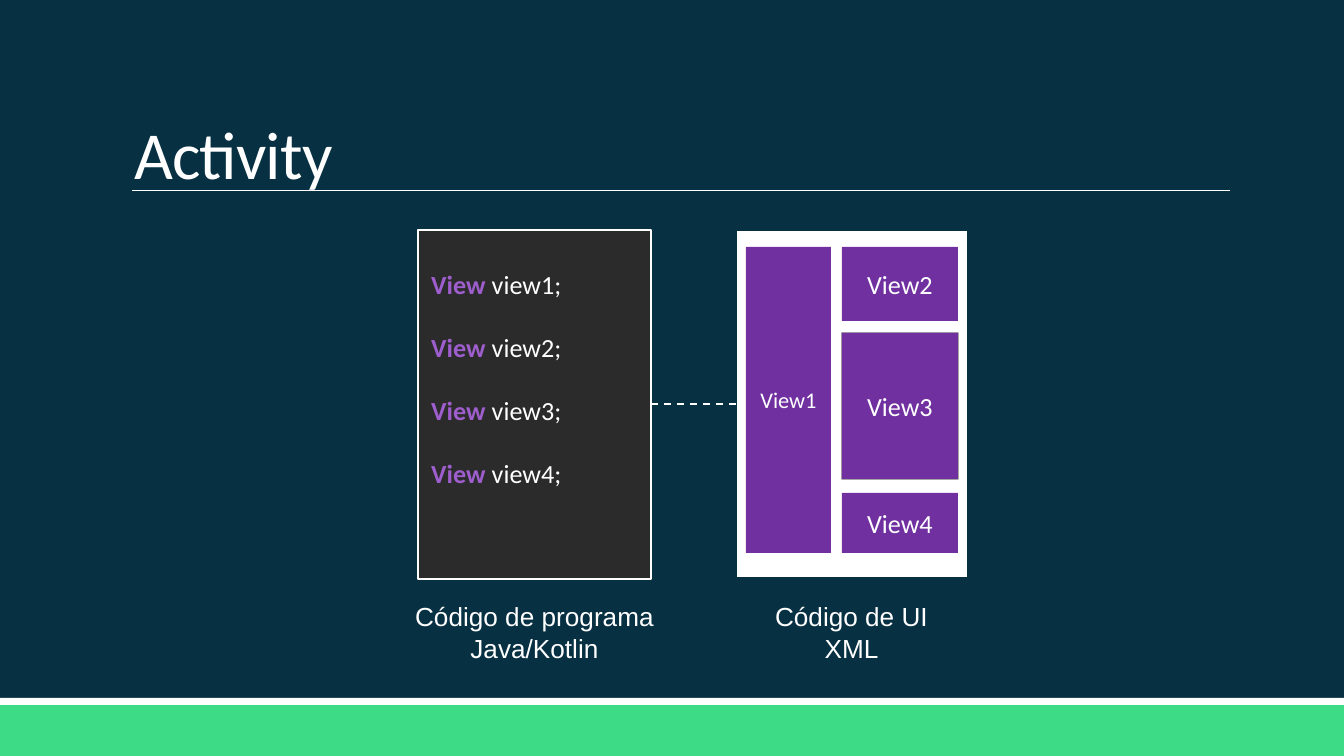
from lxml.etree import SubElement
from pptx import Presentation
from pptx.dml.color import RGBColor
from pptx.enum.dml import MSO_LINE
from pptx.enum.shapes import MSO_CONNECTOR, MSO_SHAPE
from pptx.enum.text import MSO_ANCHOR as ANC, PP_ALIGN as AL
from pptx.oxml.ns import qn
from pptx.util import Emu, Pt

PX = 914400 / 134.4  # EMU in one px
HUES = {
    "navy": "073042", "green": "3DDB85", "white": "FFFFFF", "dark": "2B2B2B",
    "purple": "7030A0", "lilac": "9E5ECE", "grey": "A6A6A6",
}


def emu(*vals):
    return [Emu(round(v * PX)) for v in vals]


def hue(name):
    return RGBColor.from_string(HUES[name])


class Deck:
    def __init__(self):
        self.prs = Presentation()
        self.prs.slide_width, self.prs.slide_height = emu(1344, 756)
        self.slide = self.prs.slides.add_slide(self.prs.slide_layouts[5])
        self.shapes = self.slide.shapes
        back = self.slide.background.fill
        back.solid()
        back.fore_color.rgb = hue("navy")

    def style(self, run, size, face="Calibri", color="white", bold=False):
        font = run.font
        font.name, font.size, font.bold = face, Pt(size), bold
        font.color.rgb = hue(color)

    def title(self, text, *box):
        shape = self.shapes.title
        shape.left, shape.top, shape.width, shape.height = emu(*box)
        frame = shape.text_frame
        frame.text = text
        frame.vertical_anchor = ANC.BOTTOM
        frame.margin_left, frame.margin_bottom = emu(13, 0)
        para = frame.paragraphs[0]
        para.alignment, para.line_spacing = AL.LEFT, 0.75
        run = para.runs[0]
        self.style(run, 36)
        run.font._element.set("spc", "-40")

    def rect(self, box, fill, line=None):
        shape = self.shapes.add_shape(MSO_SHAPE.RECTANGLE, *emu(*box))
        shape.shadow.inherit = False
        shape.fill.solid()
        shape.fill.fore_color.rgb = hue(fill)
        if line:
            shape.line.color.rgb = hue(line)
            shape.line.width = Pt(1.25)
        else:
            shape.line.fill.background()
        return shape

    def view(self, text, box, size=14):
        frame = self.rect(box, "purple").text_frame
        frame.text = text
        frame.vertical_anchor = ANC.MIDDLE
        frame.paragraphs[0].alignment = AL.CENTER
        self.style(frame.paragraphs[0].runs[0], size)

    def code(self, names, box):
        frame = self.rect(box, "dark", "white").text_frame
        frame.vertical_anchor = ANC.TOP
        frame.margin_top, = emu(38)
        for i, name in enumerate(names):
            para = frame.add_paragraph() if i else frame.paragraphs[0]
            para.alignment, para.space_after = AL.LEFT, Pt(17)
            for text, color in (("View", "lilac"), (f" {name};", "white")):
                run = para.add_run()
                run.text = text
                self.style(run, 14, color=color, bold=color == "lilac")

    def label(self, text, *box):
        frame = self.shapes.add_textbox(*emu(*box)).text_frame
        frame.word_wrap = True
        frame.text = text
        for para in frame.paragraphs:
            para.alignment = AL.CENTER
            self.style(para.runs[0], 14, "Arial")

    def line(self, ends, width, dash=None):
        link = self.shapes.add_connector(MSO_CONNECTOR.STRAIGHT, *emu(*ends))
        link.line.color.rgb = hue("white")
        link.line.width = Pt(width)
        if dash:
            link.line.dash_style = dash
        SubElement(link._element.spPr, qn("a:effectLst"))


def main():
    deck = Deck()
    deck.rect((0, 705, 1344, 51), "green")
    deck.rect((0, 698, 1344, 7), "white")
    deck.line((132, 191, 1230, 191), 0.5)
    deck.title("Activity", 121, 32, 1109, 160)

    deck.code([f"view{n}" for n in range(1, 5)], (418, 230, 233, 349))
    deck.rect((736, 230, 232, 348), "white", "navy")
    deck.view("View1", (746, 247, 85, 306), 12)
    deck.rect((842, 333, 116, 146), "grey", "grey")
    for n, top, high in ((2, 247, 74), (3, 333, 146), (4, 493, 60)):
        deck.view(f"View{n}", (842, top, 116, high))

    deck.label("Código de programa\nJava/Kotlin", 367, 594, 335, 77)
    deck.label("Código de UI\nXML", 684, 594, 335, 77)
    deck.line((651, 404, 736, 404), 1, MSO_LINE.DASH)
    deck.prs.save("out.pptx")


if __name__ == "__main__":
    main()
